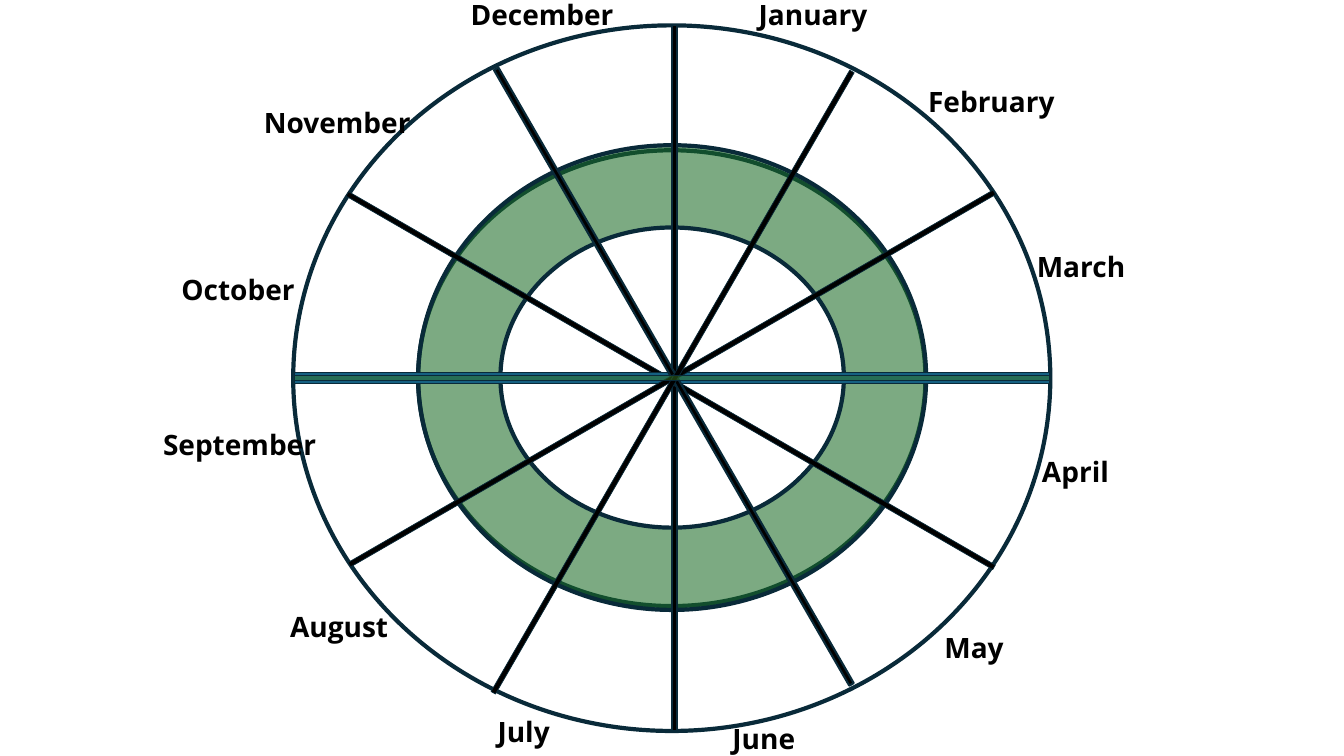
from lxml import etree
from pptx import Presentation
from pptx import util as u
from pptx.dml.color import RGBColor
from pptx.enum import shapes, text
from pptx.oxml.ns import qn

FONT = "Open Sans"
BLACK, NAVY, WHITE = "000000", "092A39", "FFFFFF"
THIN = 0.13

# centre x, centre y, length, thickness, clockwise turn, fill, opacity, outline
SPOKES = [
    (17, 9.53, 17.78, THIN, 0, BLACK, 100, 1.5),
    (16.9, 9.59, 18.82, THIN, 120, BLACK, 100, 0.5),
    (16.93, 9.53, 19.05, 0.28, 90, "156082", 100, 0.5),
    (16.98, 9.49, 17.91, THIN, 150, BLACK, 100, 1.5),
    (16.93, 9.54, 18.77, THIN, 60, BLACK, 100, 0.5),
    (16.95, 9.63, 18.08, THIN, 30, BLACK, 100, 0.5),
    (16.93, 9.53, 19.05, THIN, 90, "3B7D23", 47, 0.5),
]

# name, left, top, width
MONTHS = [
    ("January", 18.87, -0.18, 3.76),
    ("February", 23.14, 2.01, 3.76),
    ("March", 25.88, 6.17, 3.76),
    ("April", 26.01, 11.33, 3.76),
    ("May", 23.55, 15.77, 3.76),
    ("June", 18.21, 18.06, 3.76),
    ("July", 12.29, 17.88, 3.76),
    ("August", 7.06, 15.24, 3.76),
    ("September", 3.86, 10.64, 4.52),
    ("October", 4.32, 6.73, 3.76),
    ("November", 6.4, 2.54, 4.22),
    ("December", 11.61, -0.18, 4.22),
]


def color(value):
    return RGBColor.from_string(value)


def paint(shape, fill, opacity, outline):
    """Set fill, opacity in percent and outline width in points."""
    shape.shadow.inherit = False
    shape.fill.solid()
    shape.fill.fore_color.rgb = color(fill)
    if opacity < 100:
        tint = shape.fill._xPr.find(qn("a:solidFill"))[0]
        etree.SubElement(tint, qn("a:alpha"), val=str(opacity * 1000))
    shape.line.color.rgb = color(NAVY)
    shape.line.width = u.Pt(outline)


def add_ring(page, left, top, width, height, fill, opacity=100):
    ring = page.shapes.add_shape(shapes.MSO_SHAPE.DONUT, u.Cm(left), u.Cm(top),
                                 u.Cm(width), u.Cm(height))
    ring.adjustments[0] = 0.177
    paint(ring, fill, opacity, 3)


def add_spoke(page, x, y, length, thickness, turn, fill, opacity, outline):
    spoke = page.shapes.add_shape(
        shapes.MSO_SHAPE.RECTANGLE, u.Cm(x - thickness / 2), u.Cm(y - length / 2),
        u.Cm(thickness), u.Cm(length))
    spoke.rotation = turn
    paint(spoke, fill, opacity, outline)


def add_month(page, name, left, top, width):
    box = page.shapes.add_textbox(u.Cm(left), u.Cm(top), u.Cm(width), u.Cm(1.11))
    box.text_frame.word_wrap = True
    box.text_frame.auto_size = text.MSO_AUTO_SIZE.SHAPE_TO_FIT_TEXT
    para = box.text_frame.paragraphs[0]
    span = para.add_run()
    span.text = name
    span.font.name = FONT
    span.font.size = u.Pt(20)
    span.font.bold = True
    span.font.color.rgb = color(BLACK)


def main():
    deck = Presentation()
    deck.slide_width, deck.slide_height = u.Cm(33.87), u.Cm(19.05)
    page = deck.slides.add_slide(deck.slide_layouts[6])
    add_ring(page, 7.39, 0.64, 19.08, 17.78, WHITE)
    add_ring(page, 10.54, 3.66, 12.8, 11.71, "196B24", 57)
    for spoke in SPOKES:
        add_spoke(page, *spoke)
    for month in MONTHS:
        add_month(page, *month)
    deck.save("out.pptx")


if __name__ == "__main__":
    main()
